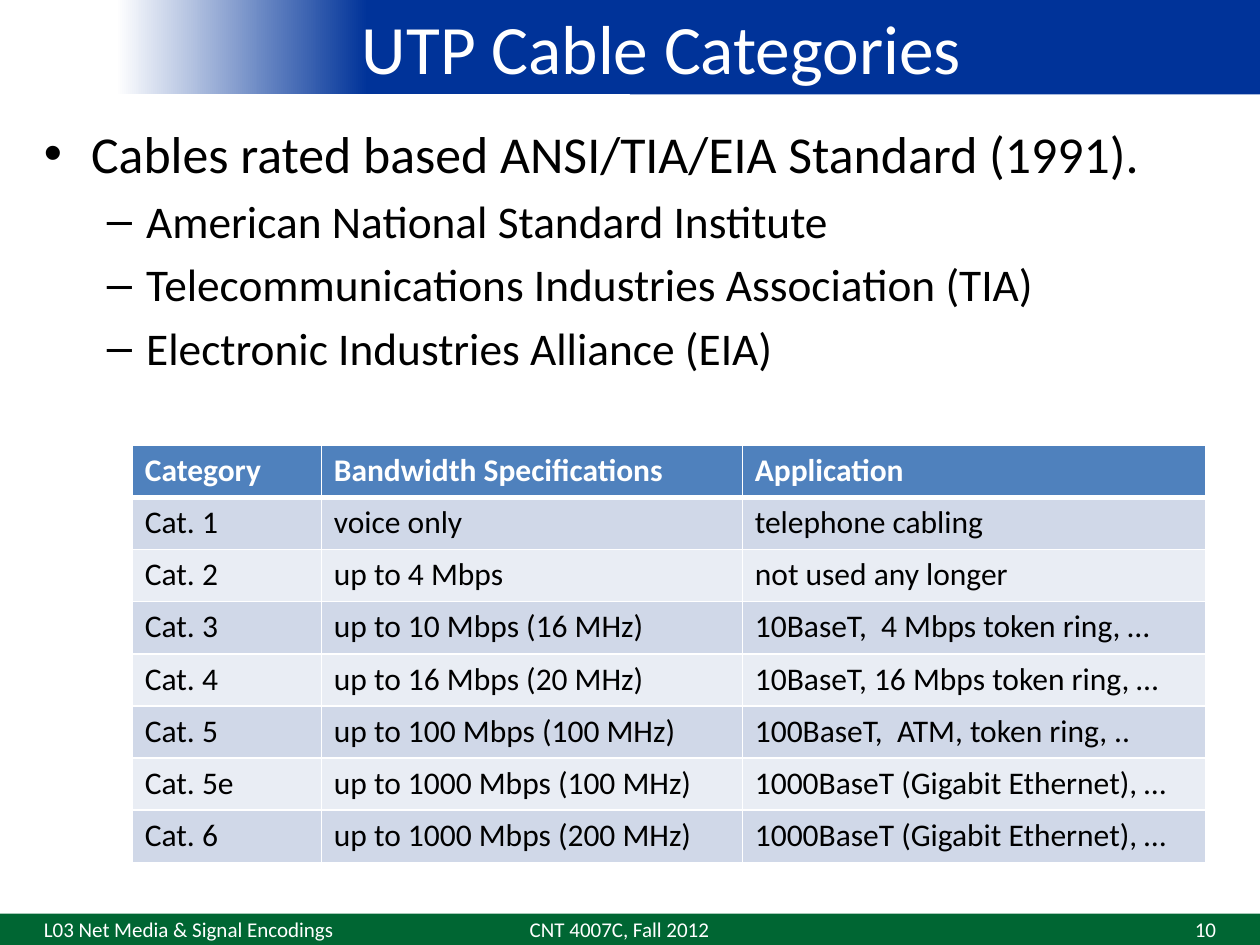
from lxml import etree
from pptx import Presentation
from pptx.dml.color import RGBColor
from pptx.enum.shapes import MSO_SHAPE
from pptx.enum.text import MSO_ANCHOR, PP_ALIGN
from pptx.oxml.ns import qn
from pptx.util import Pt

RECTANGLE = MSO_SHAPE.RECTANGLE
MIDDLE = MSO_ANCHOR.MIDDLE
LEFT, CENTER, RIGHT = PP_ALIGN.LEFT, PP_ALIGN.CENTER, PP_ALIGN.RIGHT

FONT = "Calibri"
WHITE, BLACK, BLUE, GREEN = "FFFFFF", "000000", "003399", "006633"
HEADER_FILL, ROW_FILLS = "4F81BD", ("D0D8E8", "E9EDF4")

BULLETS = [
    (0, "Cables rated based ANSI/TIA/EIA Standard (1991)."),
    (1, "American National Standard Institute"),
    (1, "Telecommunications Industries Association (TIA)"),
    (1, "Electronic Industries Alliance (EIA)"),
]
LEVELS = [("•", 27, 27, 29.6), ("–", 58.5, 22.5, 25.9)]

CATEGORIES = [
    ("Category", "Bandwidth Specifications", "Application"),
    ("Cat. 1", "voice only", "telephone cabling"),
    ("Cat. 2", "up to 4 Mbps", "not used any longer"),
    ("Cat. 3", "up to 10 Mbps (16 MHz)", "10BaseT,  4 Mbps token ring, …"),
    ("Cat. 4", "up to 16 Mbps (20 MHz)", "10BaseT, 16 Mbps token ring, …"),
    ("Cat. 5", "up to 100 Mbps (100 MHz)", "100BaseT,  ATM, token ring, .."),
    ("Cat. 5e", "up to 1000 Mbps (100 MHz)", "1000BaseT (Gigabit Ethernet), …"),
    ("Cat. 6", "up to 1000 Mbps (200 MHz)", "1000BaseT (Gigabit Ethernet), …"),
]
COLUMN_WIDTHS = (108, 240.6, 264.6)


def color(value):
    """Return the colour for a hex string."""
    return RGBColor.from_string(value)


def format_font(font, size, value, bold=False):
    """Set typeface, size, colour and weight of a font."""
    font.name, font.size, font.bold = FONT, Pt(size), bold
    font.color.rgb = color(value)


def add_band(slide, left, top, width, height, fill):
    """Add a plain filled rectangle and return it."""
    band = slide.shapes.add_shape(RECTANGLE, Pt(left), Pt(top), Pt(width), Pt(height))
    band.shadow.inherit = False
    band.line.fill.background()
    band.fill.solid()
    band.fill.fore_color.rgb = color(fill)
    return band


def add_header(slide, left, top, width, height, text):
    """Place the fading blue band with the title over it."""
    middle = 360
    add_band(slide, middle, top, left + width + 18 - middle, height, BLUE)
    fade = add_band(slide, left, top, middle - left, height, BLUE)
    fade.fill.gradient()
    fade.fill.gradient_angle = 180
    for stop, position, value in zip(fade.fill.gradient_stops, (0.49, 0.96), (BLUE, WHITE)):
        stop.position = position
        stop.color.rgb = color(value)

    title = slide.shapes.title
    title.left, title.top, title.width, title.height = Pt(left), Pt(top), Pt(width), Pt(height)
    title.text_frame.text = text
    title.text_frame.vertical_anchor = MIDDLE
    paragraph = title.text_frame.paragraphs[0]
    paragraph.alignment = CENTER
    format_font(paragraph.runs[0].font, 39.6, WHITE)
    title.element.getparent().append(title.element)


def add_bullets(slide, left, top, width, height):
    """Place the two-level bullet list."""
    box = slide.shapes.add_textbox(Pt(left), Pt(top), Pt(width), Pt(height))
    frame = box.text_frame
    frame.word_wrap = True
    for index, (level, text) in enumerate(BULLETS):
        bullet, margin, hanging, size = LEVELS[level]
        paragraph = frame.add_paragraph() if index else frame.paragraphs[0]
        paragraph.text = text
        paragraph.level = level
        paragraph.space_before = Pt(5.2 if index else 0)
        properties = paragraph._p.get_or_add_pPr()
        properties.set("marL", str(Pt(margin)))
        properties.set("indent", str(-Pt(hanging)))
        etree.SubElement(properties, qn("a:buFont"), typeface="Arial")
        etree.SubElement(properties, qn("a:buChar"), char=bullet)
        format_font(paragraph.runs[0].font, size, BLACK)


def add_borders(cell, bottom_width):
    """Give a cell thin white borders, with its own width at the bottom."""
    properties = cell._tc.get_or_add_tcPr()
    sides = (("a:lnL", 1), ("a:lnR", 1), ("a:lnT", 1), ("a:lnB", bottom_width))
    for index, (tag, width) in enumerate(sides):
        line = etree.Element(qn(tag), w=str(Pt(width)))
        fill = etree.SubElement(line, qn("a:solidFill"))
        etree.SubElement(fill, qn("a:srgbClr"), val=WHITE)
        properties.insert(index, line)


def add_category_table(slide, left, top, width, height):
    """Place the table of cable categories."""
    table = slide.shapes.add_table(
        len(CATEGORIES), len(COLUMN_WIDTHS), Pt(left), Pt(top), Pt(width), Pt(height)
    ).table
    for column, column_width in zip(table.columns, COLUMN_WIDTHS):
        column.width = Pt(column_width)
    for row_index, texts in enumerate(CATEGORIES):
        is_header = row_index == 0
        fill = HEADER_FILL if is_header else ROW_FILLS[(row_index - 1) % 2]
        for column_index, text in enumerate(texts):
            cell = table.cell(row_index, column_index)
            cell.text_frame.text = text
            cell.fill.solid()
            cell.fill.fore_color.rgb = color(fill)
            run = cell.text_frame.paragraphs[0].runs[0]
            format_font(run.font, 18, WHITE if is_header else BLACK, is_header)
            add_borders(cell, 3 if is_header or row_index == 0 else 1)


def add_footer(slide, left, top, width, height):
    """Place the green band with its three labels."""
    add_band(slide, left, top, width, height, GREEN)
    labels = [
        (240, 228, CENTER, "CNT 4007C, Fall 2012"),
        (18, 181.5, LEFT, "L03 Net Media & Signal Encodings"),
        (534, 168, RIGHT, "10"),
    ]
    for offset, label_width, alignment, text in labels:
        box = slide.shapes.add_textbox(Pt(left + offset), Pt(top), Pt(label_width), Pt(height))
        frame = box.text_frame
        frame.word_wrap = True
        frame.margin_top = frame.margin_bottom = 0
        frame.vertical_anchor = MIDDLE
        frame.text = text
        paragraph = frame.paragraphs[0]
        paragraph.alignment = alignment
        format_font(paragraph.runs[0].font, 12, WHITE)


def main():
    """Build the slide and save it."""
    presentation = Presentation()
    presentation.slide_width, presentation.slide_height = Pt(720), Pt(540)
    slide = presentation.slides.add_slide(presentation.slide_layouts[5])
    add_header(slide, 54, 0, 648, 54, "UTP Cable Categories")
    add_bullets(slide, 18, 66, 684, 186.5)
    add_category_table(slide, 75.6, 254.4, sum(COLUMN_WIDTHS), 238.4)
    add_footer(slide, 0, 522, 720, 18)
    presentation.save("out.pptx")


if __name__ == "__main__":
    main()
